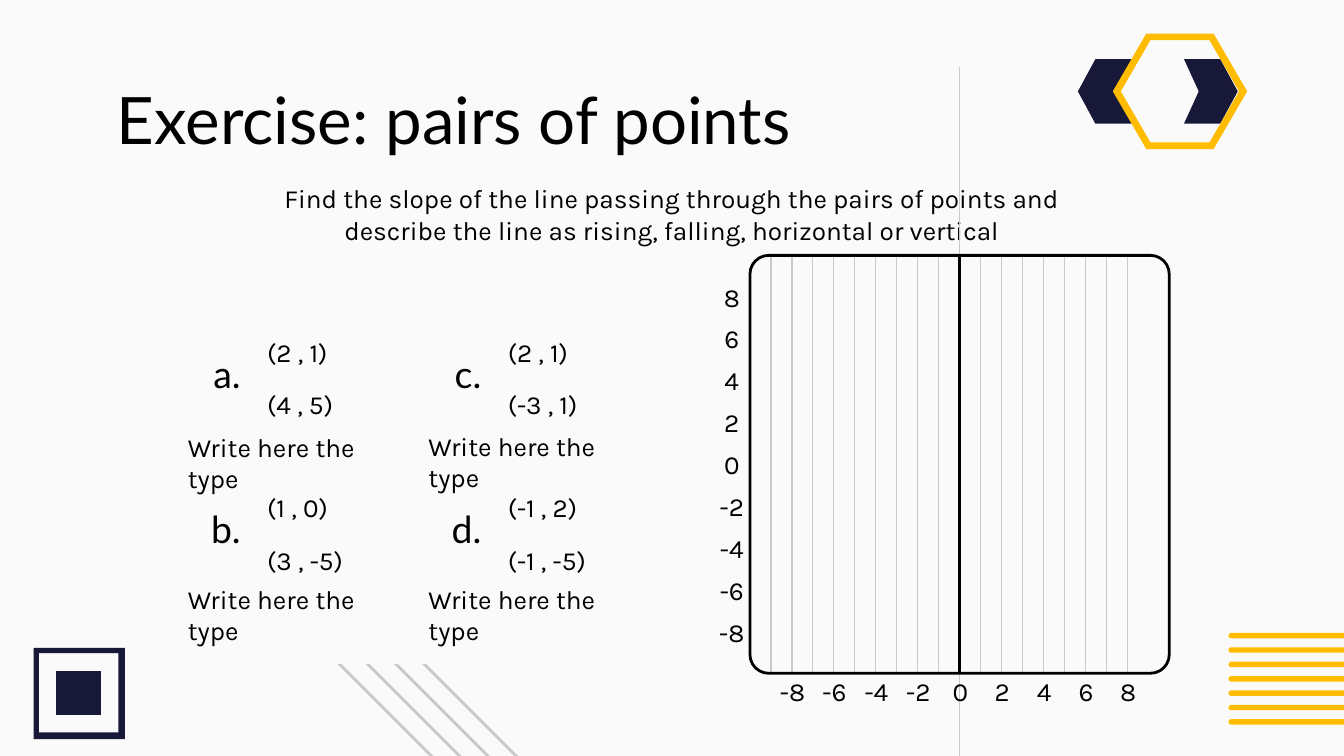
"""Build an exercise slide about slopes through pairs of points."""
from lxml import etree
from pptx import Presentation
from pptx.dml.color import RGBColor
from pptx.enum import shapes, text
from pptx.oxml import ns
from pptx.util import Inches, Pt

COLORS = {"paper": "FAFAFA", "gray": "C9C9C9", "yellow": "FFBC00",
          "navy": "181839", "black": "000000"}
STEP = 0.156
CENTER_X, GRID_TOP, GRID_WIDTH, GRID_HEIGHT = 7.14, 1.9, 3.12, 3.11
EXERCISES = [
    ("a.", "(2 , 1)", "(4 , 5)", 1.3, 2.4, 3.11),
    ("b.", "(1 , 0)", "(3 , -5)", 1.3, 3.56, 4.24),
    ("c.", "(2 , 1)", "(-3 , 1)", 3.09, 2.4, 3.1),
    ("d.", "(-1 , 2)", "(-1 , -5)", 3.09, 3.56, 4.24),
]


def rgb(name):
    """Return a palette colour."""
    return RGBColor.from_string(COLORS[name])


def fill_plain(shape, color):
    """Fill a shape without outline or shadow."""
    shape.shadow.inherit = False
    shape.fill.solid()
    shape.fill.fore_color.rgb = rgb(color)
    shape.line.fill.background()


def add_outline(page, color, *contours):
    """Draw one freeform from closed contours; inner ones become holes."""
    first, *others = [[(Inches(x), Inches(y)) for x, y in contour]
                      for contour in contours]
    builder = page.shapes.build_freeform(*first[0])
    builder.add_line_segments(first[1:], close=True)
    for contour in others:
        builder.move_to(*contour[0])
        builder.add_line_segments(contour[1:], close=True)
    fill_plain(builder.convert_to_shape(), color)


def add_line(page, x, top, bottom, color="gray", width=0.75):
    """Draw a vertical line."""
    line = page.shapes.add_connector(shapes.MSO_CONNECTOR.STRAIGHT, Inches(x),
                                     Inches(top), Inches(x), Inches(bottom))
    line.line.color.rgb = rgb(color)
    line.line.width = Pt(width)
    etree.SubElement(line._element.spPr, ns.qn("a:effectLst"))
    return line


def write(box, words, size, font, align, inset=0.1, anchor=text.MSO_ANCHOR.TOP):
    """Write one formatted paragraph into a shape."""
    frame = box.text_frame
    frame.word_wrap = True
    frame.auto_size = text.MSO_AUTO_SIZE.NONE
    frame.vertical_anchor = anchor
    frame.margin_left = frame.margin_right = Inches(inset)
    frame.margin_top = frame.margin_bottom = Inches(inset)
    para = frame.paragraphs[0]
    para.text = words
    para.alignment = align
    para.font.size = Pt(size)
    para.font.name = font
    para.font.color.rgb = rgb("black")


def add_text(page, words, left, top, width, height, size=14, font="Karla",
             align=text.PP_ALIGN.LEFT, **layout):
    """Add a text box."""
    box = page.shapes.add_textbox(Inches(left), Inches(top),
                                  Inches(width), Inches(height))
    write(box, words, size, font, align, **layout)


def square(left, top, side):
    """Return the corners of a square."""
    right, bottom = left + side, top + side
    return [(left, top), (right, top), (right, bottom), (left, bottom)]


def hexagon(left, right, top, bottom, shoulder):
    """Return the corners of a hexagon with pointed sides."""
    middle = (top + bottom) / 2
    return [(left, middle), (left + shoulder, top), (right - shoulder, top),
            (right, middle), (right - shoulder, bottom), (left + shoulder, bottom)]


def add_decorations(page):
    """Draw the ornaments in the slide's corners."""
    for index in range(4):
        x = 3.14 - 0.21 * index
        add_outline(page, "gray", [(x + 1.63, 6.54), (x + 0.03, 4.94),
                                   (x, 4.94), (x + 1.6, 6.54)])
    for index in range(7):
        bar = page.shapes.add_shape(
            shapes.MSO_SHAPE.ROUNDED_RECTANGLE, Inches(9.14),
            Inches(4.71 + 0.107 * index), Inches(2.21), Inches(0.04))
        bar.adjustments[0] = 0.5
        fill_plain(bar, "yellow")
    add_outline(page, "navy", [(8.43, 0.92), (8.31, 0.68), (8.43, 0.44),
                               (8.15, 0.44), (8.02, 0.68), (8.15, 0.92)])
    add_outline(page, "navy", [(9.08, 0.92), (9.21, 0.68), (9.08, 0.44),
                               (8.81, 0.44), (8.92, 0.68), (8.81, 0.92)])
    add_outline(page, "yellow", hexagon(8.28, 9.28, 0.25, 1.11, 0.25),
                hexagon(8.34, 9.22, 0.3, 1.06, 0.22)[::-1])
    add_outline(page, "navy", square(0.25, 4.82, 0.68),
                square(0.29, 4.86, 0.59)[::-1])
    add_outline(page, "navy", square(0.42, 4.99, 0.33))


def add_exercise(page, letter, first, second, left, top, answer_top):
    """Add one lettered pair of points with its answer prompt."""
    add_text(page, letter, left, top + 0.11, 0.59, 0.44, 20, "Lato",
             text.PP_ALIGN.RIGHT)
    add_text(page, first, left + 0.59, top, 1.13, 0.44)
    add_text(page, second, left + 0.59, top + 0.39, 1.13, 0.44)
    add_text(page, "Write here the type", left, answer_top, 1.73, 0.3)


def add_grid(page):
    """Draw the coordinate grid, its frame, axis and labels."""
    bottom = GRID_TOP + GRID_HEIGHT
    steps = [step for step in range(-9, 10) if step]
    for step in steps[:-1]:
        add_line(page, CENTER_X + step * STEP, GRID_TOP, bottom)
    for step in steps:
        top = GRID_TOP + step * STEP
        add_line(page, CENTER_X, top, top + GRID_WIDTH)
    frame = page.shapes.add_shape(
        shapes.MSO_SHAPE.ROUNDED_RECTANGLE, Inches(CENTER_X - GRID_WIDTH / 2),
        Inches(GRID_TOP), Inches(GRID_WIDTH), Inches(GRID_HEIGHT))
    frame.adjustments[0] = 0.045
    frame.shadow.inherit = False
    frame.fill.background()
    frame.line.color.rgb = rgb("black")
    frame.line.width = Pt(1.5)
    axis = add_line(page, CENTER_X, GRID_TOP, bottom, "black", 1.5)
    axis.begin_connect(frame, 0)
    axis.end_connect(frame, 2)
    for value in range(-8, 9, 2):
        for left, top in ((7 + value * STEP, 5.01), (5.3, 3.32 - value * STEP)):
            add_text(page, str(value), left, top, 0.29, 0.27,
                     align=text.PP_ALIGN.CENTER, inset=0,
                     anchor=text.MSO_ANCHOR.MIDDLE)


def main():
    """Build and save the deck."""
    deck = Presentation()
    deck.slide_width, deck.slide_height = Inches(10), Inches(5.625)
    page = deck.slides.add_slide(deck.slide_layouts[5])
    page.background.fill.solid()
    page.background.fill.fore_color.rgb = rgb("paper")
    add_decorations(page)
    title = page.shapes.title
    title.left, title.top = Inches(0.77), Inches(0.49)
    title.width, title.height = Inches(8.45), Inches(0.63)
    write(title, "Exercise: pairs of points", 35, "Lato", text.PP_ALIGN.LEFT)
    add_text(page, "Find the slope of the line passing through the pairs of points "
             "and describe the line as rising, falling, horizontal or vertical",
             1.94, 1.26, 6.12, 0.59, align=text.PP_ALIGN.CENTER)
    for exercise in EXERCISES:
        add_exercise(page, *exercise)
    add_grid(page)
    deck.save("out.pptx")


if __name__ == "__main__":
    main()
